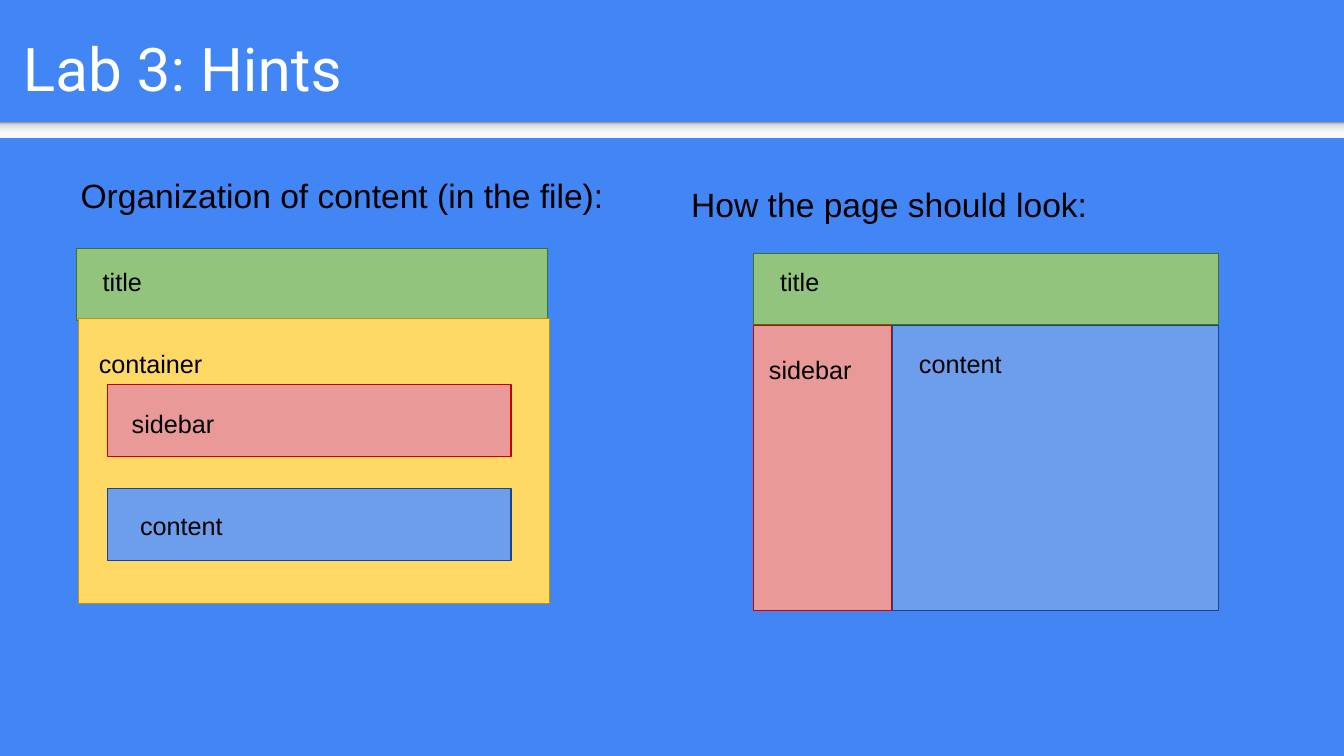
from lxml import etree
from pptx import Presentation
from pptx import util as u
from pptx.dml.color import RGBColor
from pptx.enum import shapes, text
from pptx.oxml.ns import qn

COLORS = {
    "background": "4285F4",
    "white": "FFFFFF",
    "black": "000000",
}
# Each page part has a fill and a line colour
PARTS = {
    "title": ("93C47D", "38761D"),
    "container": ("FFD966", "BF9000"),
    "sidebar": ("EA9999", "CC0000"),
    "content": ("6D9EEB", "1C4587"),
}
BAR_STOPS = [(0, "F9F9F9"), (36, "F9F9F9"), (80, "DEDEDE"), (100, "999999")]


def rgb(name):
    return RGBColor.from_string(COLORS[name])


def add_text(s, words, x, y, w, h, size=18, font="Arial", color="black",
             inset=0.25, anchor=text.MSO_ANCHOR.TOP):
    tf = s.shapes.add_textbox(u.Cm(x), u.Cm(y), u.Cm(w), u.Cm(h)).text_frame
    tf.word_wrap = True
    tf.vertical_anchor = anchor
    tf.margin_left = tf.margin_right = u.Cm(inset)
    tf.margin_top = tf.margin_bottom = u.Cm(inset)
    r = tf.paragraphs[0].add_run()
    r.text = words
    r.font.size = u.Pt(size)
    r.font.name = font
    r.font.color.rgb = rgb(color)


def add_rect(s, x, y, w, h):
    sp = s.shapes.add_shape(shapes.MSO_SHAPE.RECTANGLE,
                            u.Cm(x), u.Cm(y), u.Cm(w), u.Cm(h))
    sp.shadow.inherit = False
    return sp


def add_part(s, part, box, label):
    """Draw one page part and its label; both are (x, y, w, h)."""
    fill, line = PARTS[part]
    sp = add_rect(s, *box)
    sp.fill.solid()
    sp.fill.fore_color.rgb = RGBColor.from_string(fill)
    sp.line.color.rgb = RGBColor.from_string(line)
    sp.line.width = u.Pt(0.75)
    add_text(s, part, *label)


def add_header_bar(s):
    sp = add_rect(s, 0, 3.07, 33.87, 0.41)
    sp.line.fill.background()
    sp.fill.gradient()
    sp.fill.gradient_angle = 90  # counter-clockwise: runs from bottom to top
    stops = sp.fill._fill._gradFill.find(qn("a:gsLst"))
    for old in list(stops):
        stops.remove(old)
    for pos, color in BAR_STOPS:
        gs = etree.SubElement(stops, qn("a:gs"), pos=str(pos * 1000))
        etree.SubElement(gs, qn("a:srgbClr"), val=color)


def main():
    prs = Presentation()
    prs.slide_width, prs.slide_height = u.Cm(33.87), u.Cm(19.05)
    s = prs.slides.add_slide(prs.slide_layouts[6])
    s.background.fill.solid()
    s.background.fill.fore_color.rgb = rgb("background")

    # Header
    add_header_bar(s)
    add_text(s, "Lab 3: Hints", 0.25, 0.28, 30.45, 2.84, size=43,
             font="Roboto", color="white", inset=0.33,
             anchor=text.MSO_ANCHOR.MIDDLE)

    # Left: nesting of the parts in the file
    add_text(s, "Organization of content (in the file):",
             1.78, 4.17, 13.94, 1.63, size=24)
    add_part(s, "title", (1.93, 6.27, 11.86, 1.8), (2.34, 6.45, 4.42, 1.19))
    add_part(s, "container", (1.98, 8.03, 11.86, 7.19), (2.24, 8.53, 6.73, 0.71))
    add_part(s, "sidebar", (2.72, 9.7, 10.16, 1.8), (3.07, 10.03, 5.89, 1.19))
    add_part(s, "content", (2.72, 12.32, 10.16, 1.8), (3.28, 12.62, 5.89, 1.19))

    # Right: layout of the parts on the page
    add_text(s, "How the page should look:", 17.17, 4.39, 15.32, 1.63, size=24)
    add_part(s, "content", (22.48, 8.2, 8.23, 7.19), (22.91, 8.53, 5.89, 1.19))
    add_part(s, "title", (19, 6.38, 11.71, 1.8), (19.41, 6.45, 4.42, 1.19))
    add_part(s, "sidebar", (19, 8.2, 3.48, 7.19), (19.13, 8.69, 3.15, 1.35))

    prs.save("out.pptx")


if __name__ == "__main__":
    main()
